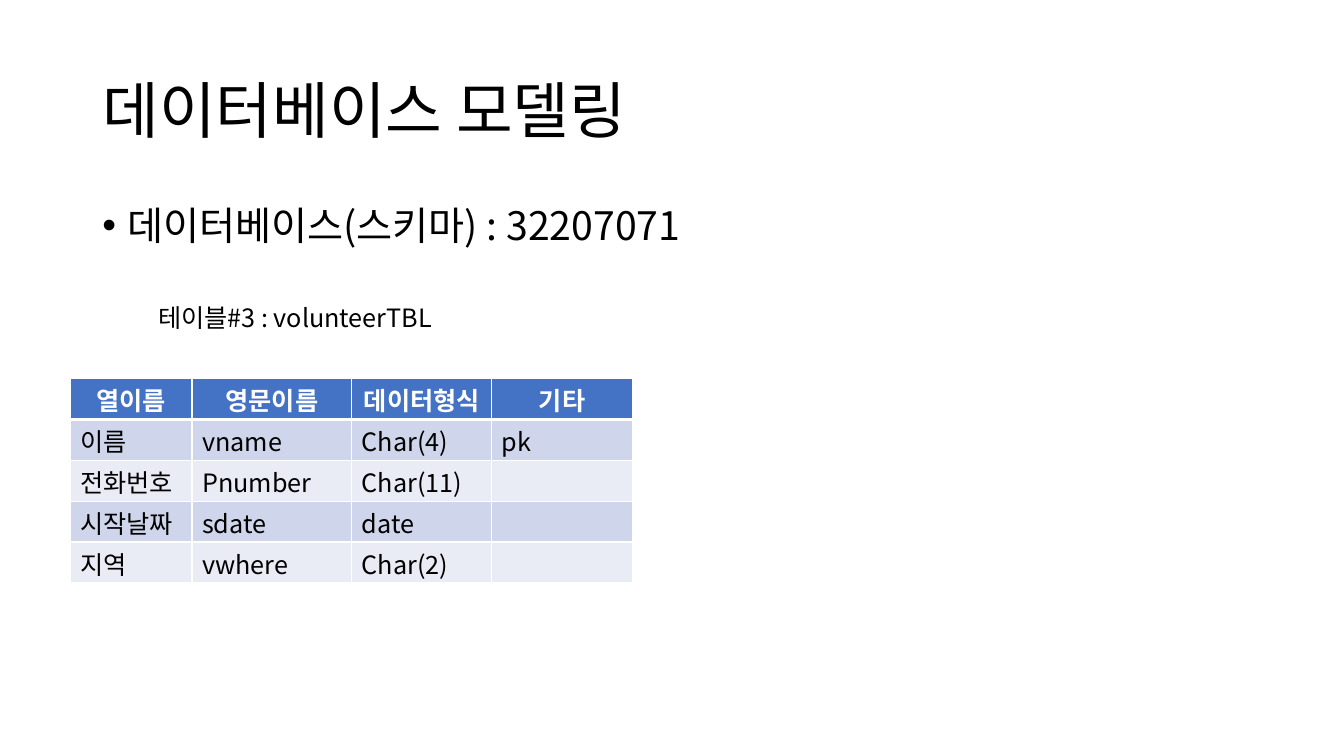
from lxml import etree
from pptx import Presentation
from pptx.dml.color import RGBColor
from pptx.enum.text import MSO_ANCHOR, PP_ALIGN
from pptx.oxml.ns import qn
from pptx.util import Pt

MIDDLE = MSO_ANCHOR.MIDDLE
LEFT, CENTER = PP_ALIGN.LEFT, PP_ALIGN.CENTER
TITLE_ONLY = 5
FONT = "Noto Sans CJK KR"
BLACK, WHITE, BLUE = "000000", "FFFFFF", "4472C4"
BANDS = ("CFD5EA", "E9EBF5")

WIDTHS = (87.2, 114, 100.2, 100.2)
ROW = 29.2
ROWS = (
    ("열이름", "영문이름", "데이터형식", "기타"),
    ("이름", "vname", "Char(4)", "pk"),
    ("전화번호", "Pnumber", "Char(11)", ""),
    ("시작날짜", "sdate", "date", ""),
    ("지역", "vwhere", "Char(2)", ""),
)


def color(code):
    return RGBColor.from_string(code)


def write(frame, text, size=18, tint=BLACK, bold=False, align=LEFT,
          space=None, before=0, bullet=None):
    para = frame.paragraphs[0]
    para.alignment = align
    para.space_before = Pt(before)
    if space:
        para.line_spacing = space
    if bullet:
        props = para._p.get_or_add_pPr()
        props.set("marL", str(Pt(18)))
        props.set("indent", str(Pt(-18)))
        etree.SubElement(props, qn("a:buFont"), typeface="Arial")
        etree.SubElement(props, qn("a:buChar"), char=bullet)
    run = para.add_run()
    run.text = text
    font = run.font
    font.name, font.size, font.bold = FONT, Pt(size), bold
    font.color.rgb = color(tint)
    # Hangul takes its typeface from the East Asian slot
    asian = etree.Element(qn("a:ea"), typeface=FONT)
    run._r.rPr.find(qn("a:latin")).addnext(asian)


def add_title(slide, box, text):
    title = slide.shapes.title
    title.left, title.top, title.width, title.height = map(Pt, box)
    frame = title.text_frame
    frame.word_wrap = True
    frame.vertical_anchor = MIDDLE
    write(frame, text, size=44, space=0.9)


def add_text(slide, box, text, **style):
    frame = slide.shapes.add_textbox(*map(Pt, box)).text_frame
    frame.word_wrap = True
    write(frame, text, **style)


def set_edges(cell, foot):
    """Draw white borders; foot is the width of the bottom one."""
    props = cell._tc.get_or_add_tcPr()
    edges = (("lnL", 1), ("lnR", 1), ("lnT", 1), ("lnB", foot))
    for spot, (tag, width) in enumerate(edges):
        line = etree.Element(qn("a:" + tag), w=str(Pt(width)))
        fill = etree.SubElement(line, qn("a:solidFill"))
        etree.SubElement(fill, qn("a:srgbClr"), val=WHITE)
        props.insert(spot, line)


def add_grid(slide, left, top):
    size = map(Pt, (left, top, sum(WIDTHS), ROW * len(ROWS)))
    table = slide.shapes.add_table(len(ROWS), len(WIDTHS), *size).table
    for col, width in zip(table.columns, WIDTHS):
        col.width = Pt(width)
    for r, texts in enumerate(ROWS):
        table.rows[r].height = Pt(ROW)
        head = r == 0
        for c, text in enumerate(texts):
            cell = table.cell(r, c)
            cell.margin_top, cell.margin_bottom = Pt(2), Pt(1)
            cell.fill.solid()
            cell.fill.fore_color.rgb = color(BLUE if head else BANDS[(r - 1) % 2])
            set_edges(cell, 3 if r == 0 else 1)
            if text:
                write(cell.text_frame, text, bold=head,
                      tint=WHITE if head else BLACK,
                      align=CENTER if head else LEFT)


def main():
    deck = Presentation()
    deck.slide_width, deck.slide_height = Pt(960), Pt(540)
    slide = deck.slides.add_slide(deck.slide_layouts[TITLE_ONLY])
    add_title(slide, (66, 28.8, 828, 104.4), "데이터베이스 모델링")
    add_text(slide, (66, 144, 456.5, 39.6), "데이터베이스(스키마) : 32207071",
             size=28, space=0.9, before=10, bullet="•")
    add_text(slide, (105.8, 212.4, 275, 28.8), "테이블#3 : volunteerTBL")
    add_grid(slide, 50, 270.4)
    deck.save("out.pptx")


if __name__ == "__main__":
    main()
